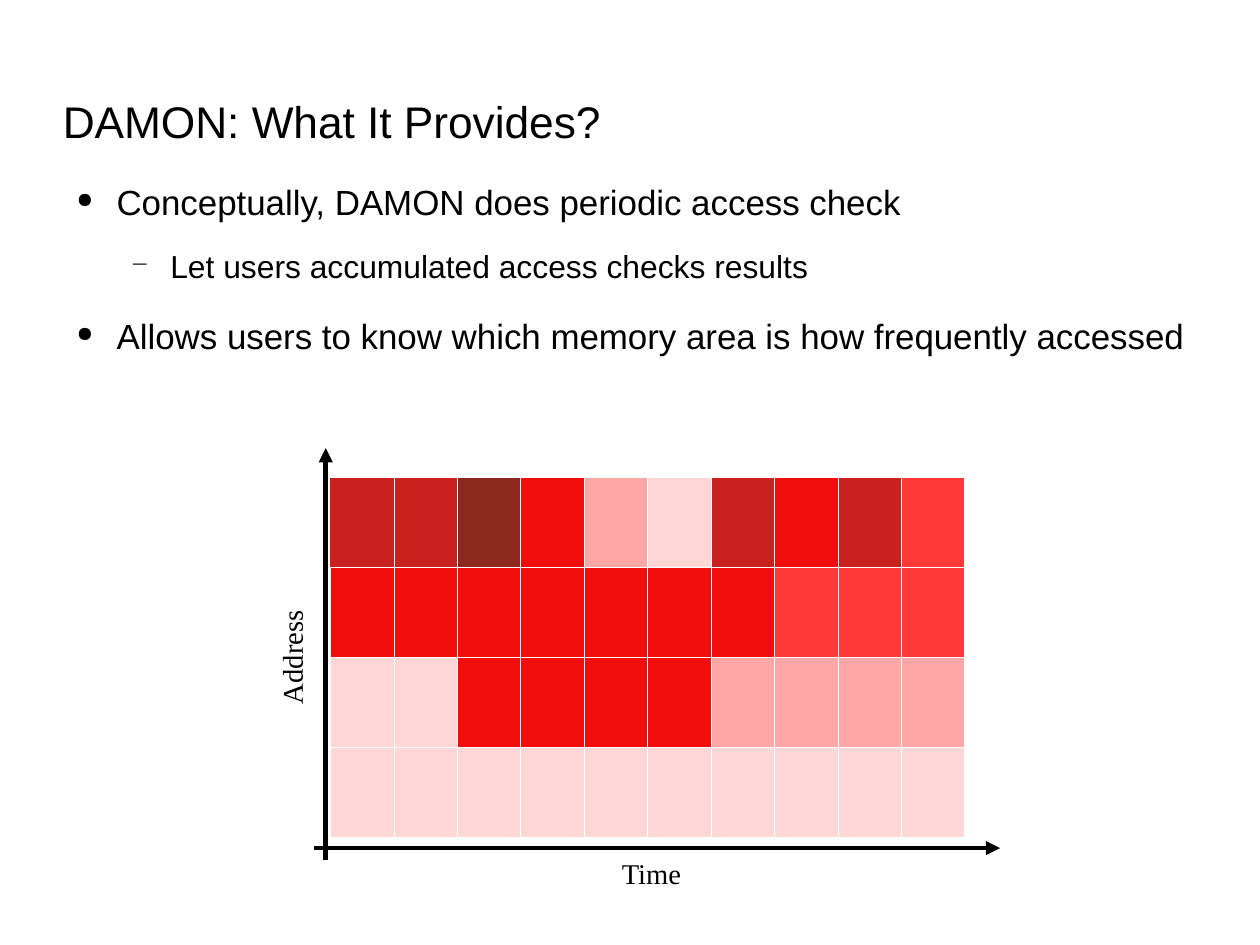
from dataclasses import dataclass
from typing import Optional

from lxml.etree import SubElement
from pptx import Presentation
from pptx.dml.color import RGBColor
from pptx.enum.shapes import MSO_CONNECTOR
from pptx.enum.text import MSO_ANCHOR, PP_ALIGN
from pptx.oxml.ns import qn
from pptx.slide import Slide
from pptx.table import _Cell
from pptx.text.text import _Paragraph
from pptx.util import Pt


@dataclass(frozen=True)
class Theme:
    ink: str = "000000"
    grid: str = "FFFFFF"
    darkest: str = "8D281E"
    dark: str = "C9211E"
    hot: str = "F10D0C"
    warm: str = "FF3838"
    mild: str = "FFA6A6"
    cold: str = "FFD7D7"
    body_font: str = "Arial"
    label_font: str = "Times New Roman"
    title_size: float = 27.9
    point_size: float = 22
    subpoint_size: float = 20
    label_size: float = 18
    axis_width: float = 3
    grid_width: float = 0.06


@dataclass(frozen=True)
class Box:
    left: float
    top: float
    width: float
    height: float


@dataclass(frozen=True)
class Bullet:
    symbol: str
    percent: int
    margin: float
    hanging: float = 25.2


@dataclass(frozen=True)
class Line:
    text: str
    size: float
    bullet: Optional[Bullet] = None
    level: int = 0
    space_before: float = 0


@dataclass(frozen=True)
class Axis:
    start: tuple[float, float]
    end: tuple[float, float]


@dataclass(frozen=True)
class Label:
    text: str
    box: Box
    rotation: float = 0


THEME = Theme()
POINT = Bullet("●", 60, 33.84)
SUBPOINT = Bullet("−", 75, 67.68)

TITLE = Line("DAMON: What It Provides?", THEME.title_size)
BODY = [
    Line("Conceptually, DAMON does periodic access check", THEME.point_size, POINT),
    Line("Let users accumulated access checks results", THEME.subpoint_size, SUBPOINT, 1, 15.1),
    Line("Allows users to know which memory area is how frequently accessed",
         THEME.point_size, POINT, 0, 18.8),
]
HEAT = {"X": THEME.darkest, "D": THEME.dark, "H": THEME.hot,
        "W": THEME.warm, "M": THEME.mild, "C": THEME.cold}
HEATMAP = ["DDXHMCDHDW", "HHHHHHHWWW", "CCHHHHMMMM", "CCCCCCCCCC"]
AXES = [
    Axis((198, 534.24), (630, 534.24)),
    Axis((205.2, 541.44), (205.2, 282.24)),
]
LABELS = [
    Label("Time", Box(334.8, 528.48, 151.2, 43.2)),
    Label("Address", Box(108, 392.4, 151.2, 43.2), 270),
]


def add_bullet(paragraph: _Paragraph, bullet: Bullet) -> None:
    properties = paragraph._p.get_or_add_pPr()
    properties.set("marL", str(Pt(bullet.margin)))
    properties.set("indent", str(-Pt(bullet.hanging)))
    color = SubElement(properties, qn("a:buClr"))
    SubElement(color, qn("a:srgbClr"), val=THEME.ink)
    SubElement(properties, qn("a:buSzPct"), val=str(bullet.percent * 1000))
    SubElement(properties, qn("a:buChar"), char=bullet.symbol)


def add_text(slide: Slide, lines: list[Line], box: Box, *, font: str = THEME.body_font,
             anchor: MSO_ANCHOR = MSO_ANCHOR.TOP, align: PP_ALIGN = PP_ALIGN.LEFT,
             wrap: bool = True, inset: tuple[float, float] = (0, 0),
             rotation: float = 0) -> None:
    shape = slide.shapes.add_textbox(Pt(box.left), Pt(box.top), Pt(box.width), Pt(box.height))
    shape.rotation = rotation
    frame = shape.text_frame
    frame.word_wrap = wrap
    frame.vertical_anchor = anchor
    frame.margin_left = frame.margin_right = Pt(inset[0])
    frame.margin_top = frame.margin_bottom = Pt(inset[1])
    for index, line in enumerate(lines):
        paragraph = frame.add_paragraph() if index else frame.paragraphs[0]
        if line.bullet:
            add_bullet(paragraph, line.bullet)
        paragraph.level = line.level
        paragraph.alignment = align
        paragraph.space_before = Pt(line.space_before)
        run = paragraph.add_run()
        run.text = line.text
        run.font.name = font
        run.font.size = Pt(line.size)
        run.font.color.rgb = RGBColor.from_string(THEME.ink)


def format_cell(cell: _Cell, color: str, sides: str) -> None:
    properties = cell._tc.get_or_add_tcPr()
    for side in sides:
        border = SubElement(properties, qn(f"a:ln{side}"), w=str(Pt(THEME.grid_width)))
        fill = SubElement(border, qn("a:solidFill"))
        SubElement(fill, qn("a:srgbClr"), val=THEME.grid)
    cell.fill.solid()
    cell.fill.fore_color.rgb = RGBColor.from_string(color)


def add_heatmap(slide: Slide, rows: list[str], box: Box) -> None:
    frame = slide.shapes.add_table(len(rows), len(rows[0]), Pt(box.left), Pt(box.top),
                                   Pt(box.width), Pt(box.height))
    table = frame.table
    table.first_row = table.horz_banding = False
    style = next(frame._element.iter(qn("a:tableStyleId")))
    style.text = "{2D5ABB26-0587-4C30-8999-92F81FD0307C}"
    for row_index, row in enumerate(rows):
        for column_index, heat in enumerate(row):
            sides = "LRB" if row_index else "RTB"
            format_cell(table.cell(row_index, column_index), HEAT[heat], sides)


def add_axis(slide: Slide, axis: Axis) -> None:
    connector = slide.shapes.add_connector(
        MSO_CONNECTOR.STRAIGHT, *(Pt(value) for value in axis.start + axis.end))
    connector.line.width = Pt(THEME.axis_width)
    connector.line.color.rgb = RGBColor.from_string(THEME.ink)
    SubElement(connector.line._get_or_add_ln(), qn("a:tailEnd"), type="triangle")
    SubElement(connector._element.spPr, qn("a:effectLst"))


def main() -> None:
    presentation = Presentation()
    presentation.slide_width = Pt(793.7)
    presentation.slide_height = Pt(595.28)
    slide = presentation.slides.add_slide(presentation.slide_layouts[6])
    add_text(slide, [TITLE], Box(39.6, 51.84, 714.24, 48.24), anchor=MSO_ANCHOR.MIDDLE)
    add_text(slide, BODY, Box(39.6, 113.76, 714.24, 419.04))
    add_heatmap(slide, HEATMAP, Box(208.08, 300.6, 399.6, 226.8))
    for axis in AXES:
        add_axis(slide, axis)
    for label in LABELS:
        add_text(slide, [Line(label.text, THEME.label_size)], label.box,
                 font=THEME.label_font, anchor=MSO_ANCHOR.MIDDLE, align=PP_ALIGN.CENTER,
                 wrap=False, inset=(7.2, 3.6), rotation=label.rotation)
    presentation.save("out.pptx")


if __name__ == "__main__":
    main()
